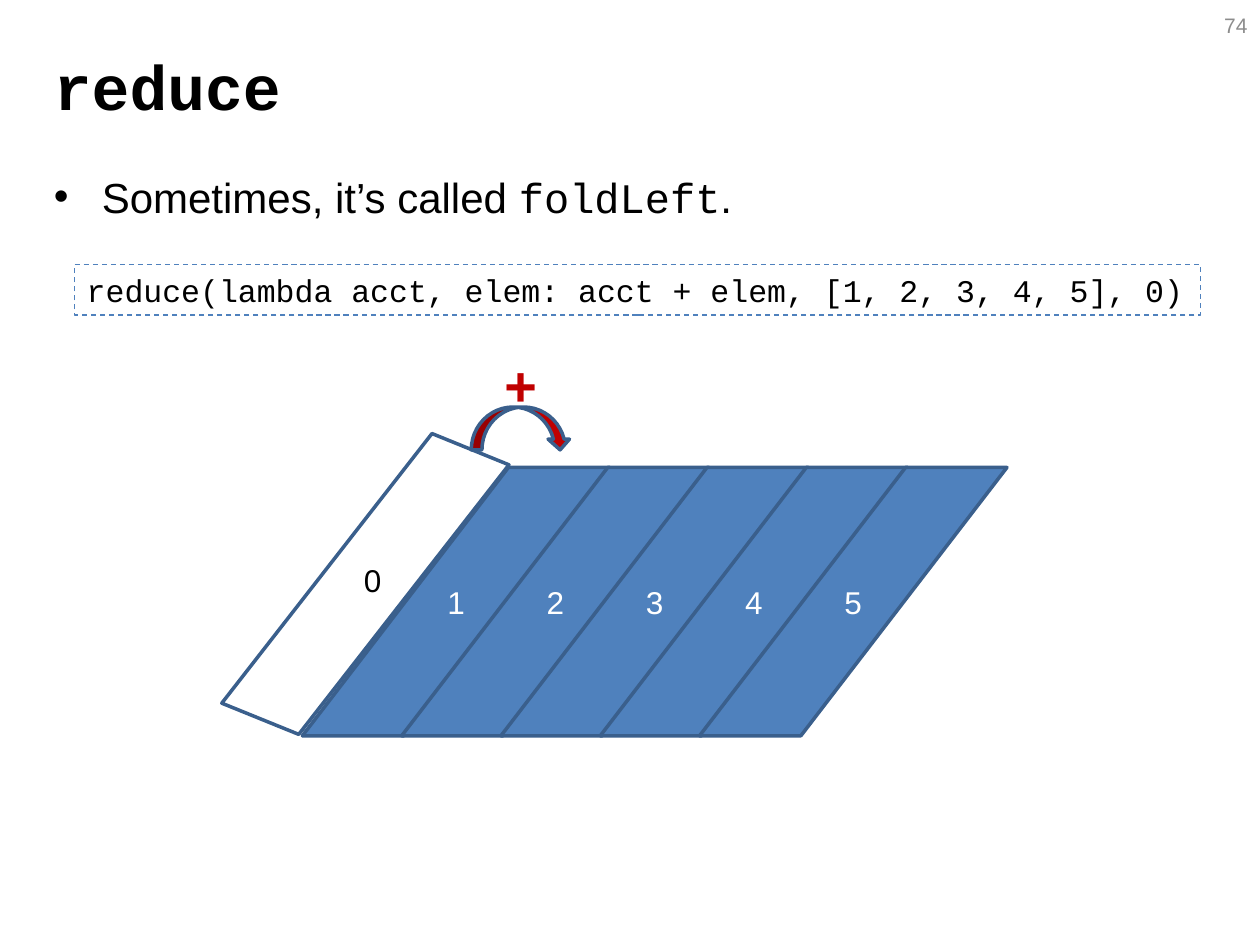
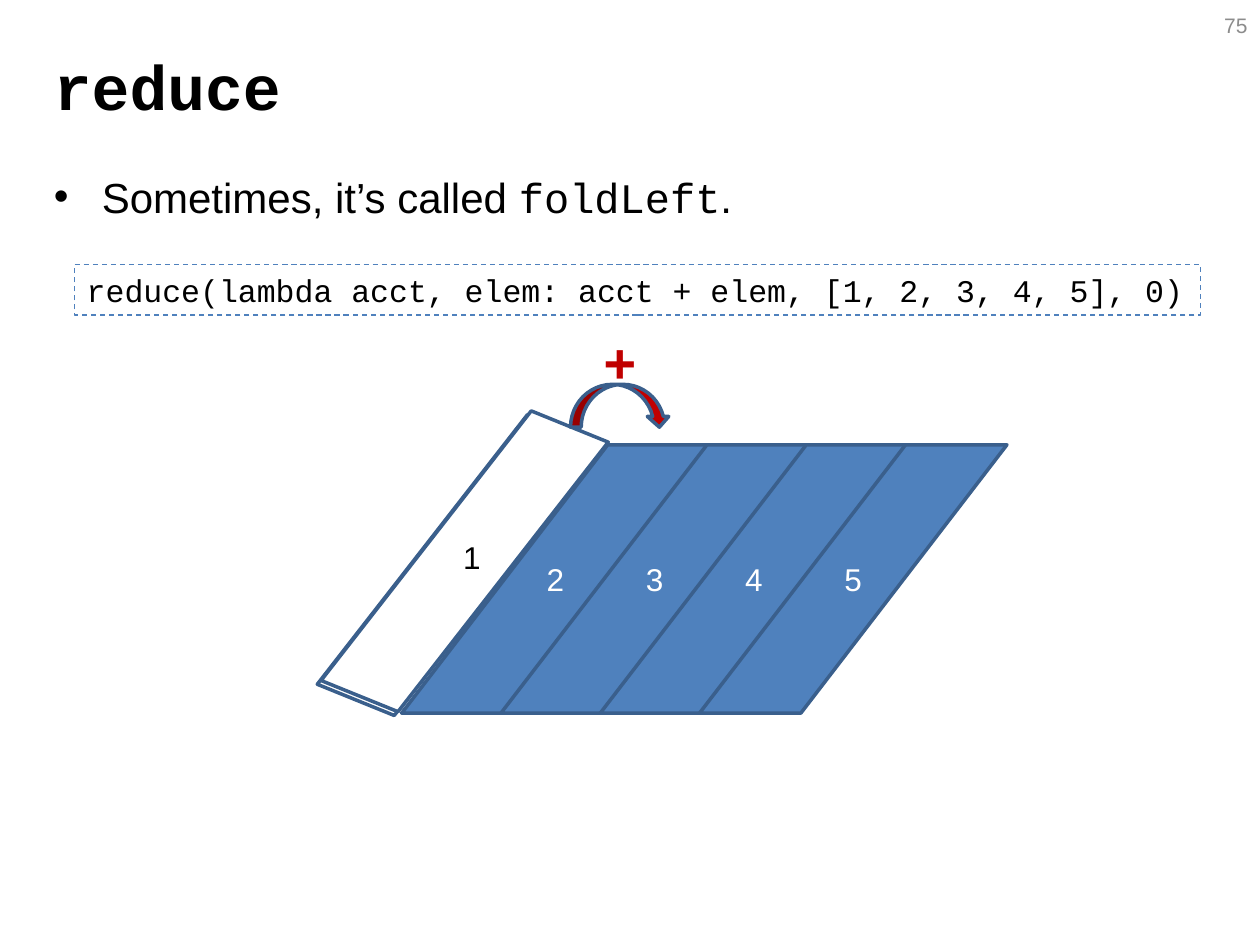
from lxml import etree
from pptx import Presentation
from pptx import util as u
from pptx.dml.color import RGBColor
from pptx.enum import dml, shapes, text
from pptx.oxml import ns

# Shared look
BLACK = RGBColor(0x00, 0x00, 0x00)
WHITE = RGBColor(0xFF, 0xFF, 0xFF)
GRAY = RGBColor(0x8C, 0x8C, 0x8C)
BLUE = RGBColor(0x4F, 0x81, 0xBD)
DARK_BLUE = RGBColor(0x3A, 0x5F, 0x8C)
RED = RGBColor(0xC0, 0x00, 0x00)
SANS, MONO = "Arial", "Courier New"
SLIDE_WIDTH, SLIDE_HEIGHT = u.Inches(10), u.Inches(7.5)

# Strip of list elements, in percent of the slide's width or height
ELEMENTS = [1, 2, 3, 4, 5]
STRIP_LEFT, PITCH = 24, 7.88


def place(left, top, width, height):
    """Turn percentages of the slide into lengths."""
    return (int(SLIDE_WIDTH * left / 100), int(SLIDE_HEIGHT * top / 100),
            int(SLIDE_WIDTH * width / 100), int(SLIDE_HEIGHT * height / 100))


def write(shape, *runs, size=18, color=BLACK, bold=False, wrap=True,
          align=text.PP_ALIGN.LEFT, anchor=text.MSO_ANCHOR.TOP):
    """Write (words, font name) runs into one paragraph and return it."""
    frame = shape.text_frame
    frame.word_wrap = wrap
    frame.vertical_anchor = anchor
    paragraph = frame.paragraphs[0]
    paragraph.alignment = align
    for words, font_name in runs:
        run = paragraph.add_run()
        run.text = words
        run.font.name = font_name
        run.font.size = u.Pt(size)
        run.font.bold = bold
        run.font.color.rgb = color
    return paragraph


def add_text(slide, box, *runs, **style):
    return write(slide.shapes.add_textbox(*place(*box)), *runs, **style)


def add_shape(slide, kind, box, fill=None, line=DARK_BLUE, weight=2):
    shape = slide.shapes.add_shape(kind, *place(*box))
    shape.shadow.inherit = False
    if fill is None:
        shape.fill.background()
    else:
        shape.fill.solid()
        shape.fill.fore_color.rgb = fill
    shape.line.color.rgb = line
    shape.line.width = u.Pt(weight)
    return shape


def add_bullet(paragraph, indent):
    paragraph.space_before = u.Pt(4.8)
    properties = paragraph._p.get_or_add_pPr()
    properties.set("marL", str(indent))
    properties.set("indent", str(-indent))
    etree.SubElement(properties, ns.qn("a:buFont")).set("typeface", SANS)
    etree.SubElement(properties, ns.qn("a:buChar")).set("char", "•")


def add_frame(slide, number):
    """Title, slide number, bullet and code line."""
    middle = text.MSO_ANCHOR.MIDDLE
    add_text(slide, (3.3, 0.67, 90, 16.67), ("reduce", MONO),
             size=36, bold=True, anchor=middle)
    add_text(slide, (76.7, 0, 23.3, 5.33), (str(number), SANS), size=12,
             color=GRAY, align=text.PP_ALIGN.RIGHT, anchor=middle)
    bullet = add_text(slide, (3.3, 17.47, 90, 66),
                      ("Sometimes, it’s called ", SANS), ("foldLeft", MONO),
                      (".", SANS), size=24)
    add_bullet(bullet, u.Inches(0.38))
    code = add_shape(slide, shapes.MSO_SHAPE.RECTANGLE, (5.9, 28, 89.4, 5.33),
                     line=BLUE, weight=0.75)
    code.line.dash_style = dml.MSO_LINE.DASH
    write(code, (f"reduce(lambda acct, elem: acct + elem, {ELEMENTS}, 0)", MONO))


def add_leaf(slide, left, top, value):
    leaf = add_shape(slide, shapes.MSO_SHAPE.PARALLELOGRAM,
                     (left, top, 24.4, 28.4), BLUE)
    leaf.adjustments[0] = 0.768
    write(leaf, (str(value), SANS), color=WHITE,
          align=text.PP_ALIGN.CENTER, anchor=text.MSO_ANCHOR.MIDDLE)


def add_flap(slide, left, top):
    """White leaf folded up at the left end of the strip."""
    flap = add_shape(slide, shapes.MSO_SHAPE.PARALLELOGRAM,
                     (left - 2, top - 5.07, 14, 34.8), WHITE)
    flap.adjustments[0] = 0.529
    flap.rotation = 22.1


def add_fold(slide, folded, top, accumulator):
    """Strip with its first leaves already folded into the accumulator."""
    left = STRIP_LEFT + folded * PITCH
    for layer in range(folded, 0, -1):
        add_flap(slide, left - 0.3 * layer, top + 0.4 * layer)
    for index, value in enumerate(ELEMENTS[folded:]):
        add_leaf(slide, left + index * PITCH, top, value)
    add_flap(slide, left, top)
    add_text(slide, (left + 3.9, top + 9.2, 3.3, 5.33),
             (str(accumulator), SANS), wrap=False)
    # Operator that joins the accumulator to the next element
    add_shape(slide, shapes.MSO_SHAPE.CURVED_DOWN_ARROW,
              (left + 13.4, top - 6.4, 7.9, 4.53), RED)
    add_text(slide, (left + 15, top - 13.07, 4.7, 8.53), ("+", MONO),
             size=32, color=RED, bold=True, wrap=False)


def main():
    presentation = Presentation()
    presentation.slide_width, presentation.slide_height = SLIDE_WIDTH, SLIDE_HEIGHT
    blank = presentation.slide_layouts[6]
    for folded, top in enumerate([49.47, 47.07]):
        slide = presentation.slides.add_slide(blank)
        add_frame(slide, 74 + folded)
        add_fold(slide, folded, top, accumulator=sum(ELEMENTS[:folded]))
    presentation.save("out.pptx")


if __name__ == "__main__":
    main()
